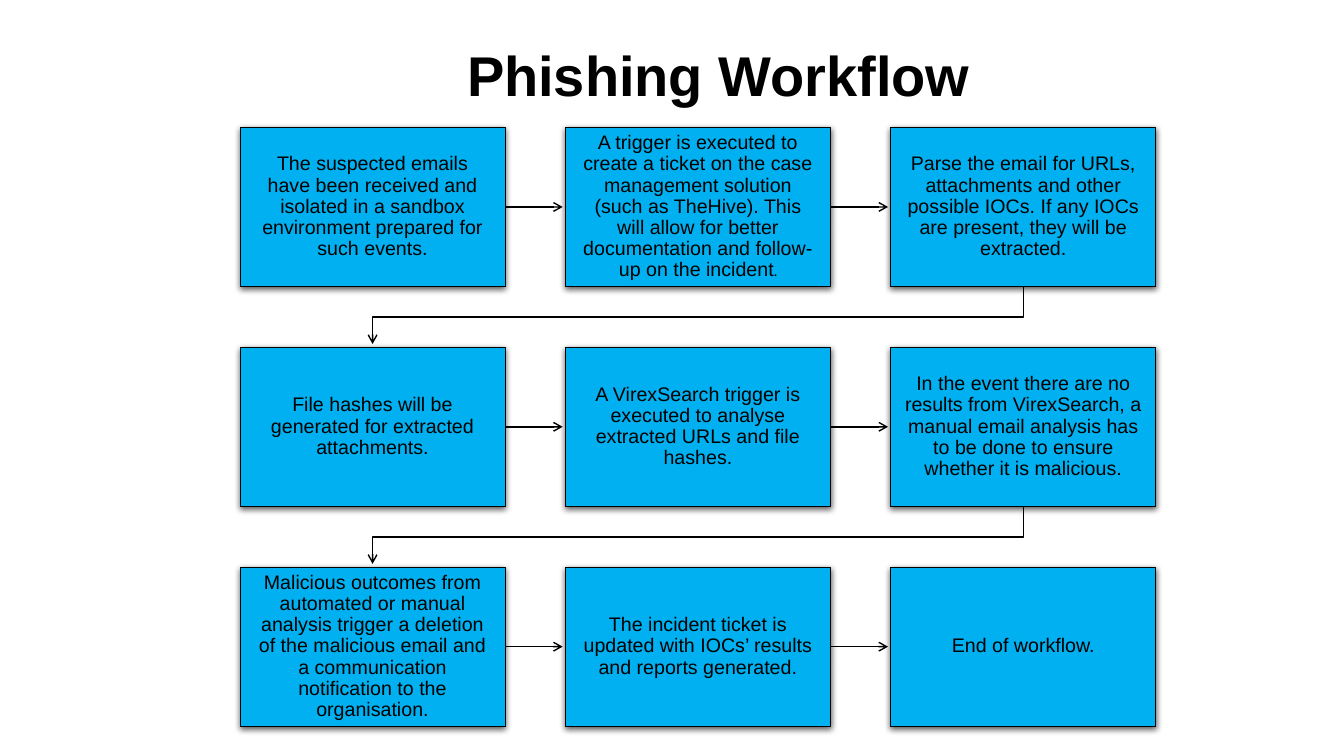
from dataclasses import dataclass

from lxml.etree import SubElement
from pptx import Presentation
from pptx.dml.color import RGBColor
from pptx.enum.shapes import MSO_CONNECTOR, MSO_SHAPE
from pptx.enum.text import MSO_ANCHOR, MSO_AUTO_SIZE, PP_ALIGN
from pptx.oxml.ns import qn
from pptx.util import Cm, Pt


@dataclass(frozen=True)
class Theme:
    ink: RGBColor = RGBColor(0x00, 0x00, 0x00)
    box: RGBColor = RGBColor(0x00, 0xB0, 0xF0)
    font: str = "Arial"
    title_size: Pt = Pt(40)
    body_size: Pt = Pt(14)
    stop_font: str = "Karla"
    stop_size: Pt = Pt(12)


theme = Theme()

STEPS = [
    "The suspected emails have been received and isolated in a sandbox environment prepared for such events.",
    "A trigger is executed to create a ticket on the case management solution (such as TheHive). "
    "This will allow for better documentation and follow-up on the incident.",
    "Parse the email for URLs, attachments and other possible IOCs. If any IOCs are present, they will be extracted.",
    "File hashes will be generated for extracted attachments.",
    "A VirexSearch trigger is executed to analyse extracted URLs and file hashes.",
    "In the event there are no results from VirexSearch, a manual email analysis has to be done to ensure "
    "whether it is malicious.",
    "Malicious outcomes from automated or manual analysis trigger a deletion of the malicious email and "
    "a communication notification to the organisation.",
    "The incident ticket is updated with IOCs’ results and reports generated.",
    "End of workflow.",
]
SMALL_STOP_STEP = 1  # the full stop of this step has its own font

COLUMNS = 3
LEFT, TOP = Cm(6.05), Cm(3.21)
BOX_W, BOX_H = Cm(6.68), Cm(4.01)
PITCH_X, PITCH_Y = Cm(8.2), Cm(5.54)
ARROW = Cm(1.45)
ELBOW = Cm(0.77)


def style_arrow(sp):
    """Give a connector or open path its line, arrowhead and no shadow."""
    sp.line.color.rgb = theme.ink
    sp.line.width = Pt(1)
    sp_pr = sp._element.spPr
    SubElement(sp_pr.find(qn("a:ln")), qn("a:tailEnd"), type="arrow")
    SubElement(sp_pr, qn("a:effectLst"))


def add_soft_shadow(sp):
    sp.shadow.inherit = False
    effects = sp._element.spPr.find(qn("a:effectLst"))
    shadow = SubElement(effects, qn("a:outerShdw"), blurRad=str(Pt(4.5)), dist=str(Pt(1.5)),
                        dir="5400000", algn="ctr", rotWithShape="0")
    color = SubElement(shadow, qn("a:srgbClr"), val=str(theme.ink))
    SubElement(color, qn("a:alpha"), val="63000")


prs = Presentation()
prs.slide_width, prs.slide_height = Cm(33.87), Cm(19.05)
s = prs.slides.add_slide(prs.slide_layouts[5])

# Title
title = s.shapes.title
title.left, title.top, title.width, title.height = Cm(10.62), Cm(0.74), Cm(14.96), Cm(2.46)
tf = title.text_frame
tf.text = "Phishing Workflow"
tf.auto_size = MSO_AUTO_SIZE.NONE
tf.vertical_anchor = MSO_ANCHOR.MIDDLE
p = tf.paragraphs[0]
p.alignment = PP_ALIGN.CENTER
p.line_spacing = 0.9
p.font.name, p.font.size, p.font.bold = theme.font, theme.title_size, True
p.font.color.rgb = theme.ink

# Steps, each with the arrow that leads to the next one
for i, step in enumerate(STEPS):
    row, column = divmod(i, COLUMNS)
    x, y = LEFT + column * PITCH_X, TOP + row * PITCH_Y

    if column < COLUMNS - 1:
        mid_y = y + BOX_H // 2
        arrow = s.shapes.add_connector(MSO_CONNECTOR.STRAIGHT, x + BOX_W, mid_y, x + BOX_W + ARROW, mid_y)
        style_arrow(arrow)
    elif i < len(STEPS) - 1:
        start_x, end_x, bottom = x + BOX_W // 2, LEFT + BOX_W // 2, y + BOX_H
        path = s.shapes.build_freeform(start_x, bottom)
        path.add_line_segments([(start_x, bottom + ELBOW), (end_x, bottom + ELBOW), (end_x, bottom + ARROW)],
                               close=False)
        arrow = path.convert_to_shape()
        arrow.fill.background()
        style_arrow(arrow)

    box = s.shapes.add_shape(MSO_SHAPE.RECTANGLE, x, y, BOX_W, BOX_H)
    box.fill.solid()
    box.fill.fore_color.rgb = theme.box
    box.line.color.rgb = theme.ink
    box.line.width = Pt(0.75)
    add_soft_shadow(box)

    tf = box.text_frame
    tf.word_wrap = True
    tf.vertical_anchor = MSO_ANCHOR.MIDDLE
    tf.margin_left = tf.margin_right = Cm(0.33)
    tf.margin_top = tf.margin_bottom = Cm(0.36)
    p = tf.paragraphs[0]
    p.alignment = PP_ALIGN.CENTER
    p.line_spacing = 0.9
    p.font.name, p.font.size = theme.font, theme.body_size
    p.font.color.rgb = theme.ink
    if i == SMALL_STOP_STEP:
        p.add_run().text = step[:-1]
        r = p.add_run()
        r.text = step[-1]
        r.font.name, r.font.size = theme.stop_font, theme.stop_size
        r.font.color.rgb = theme.ink
    else:
        p.add_run().text = step

prs.save("out.pptx")
